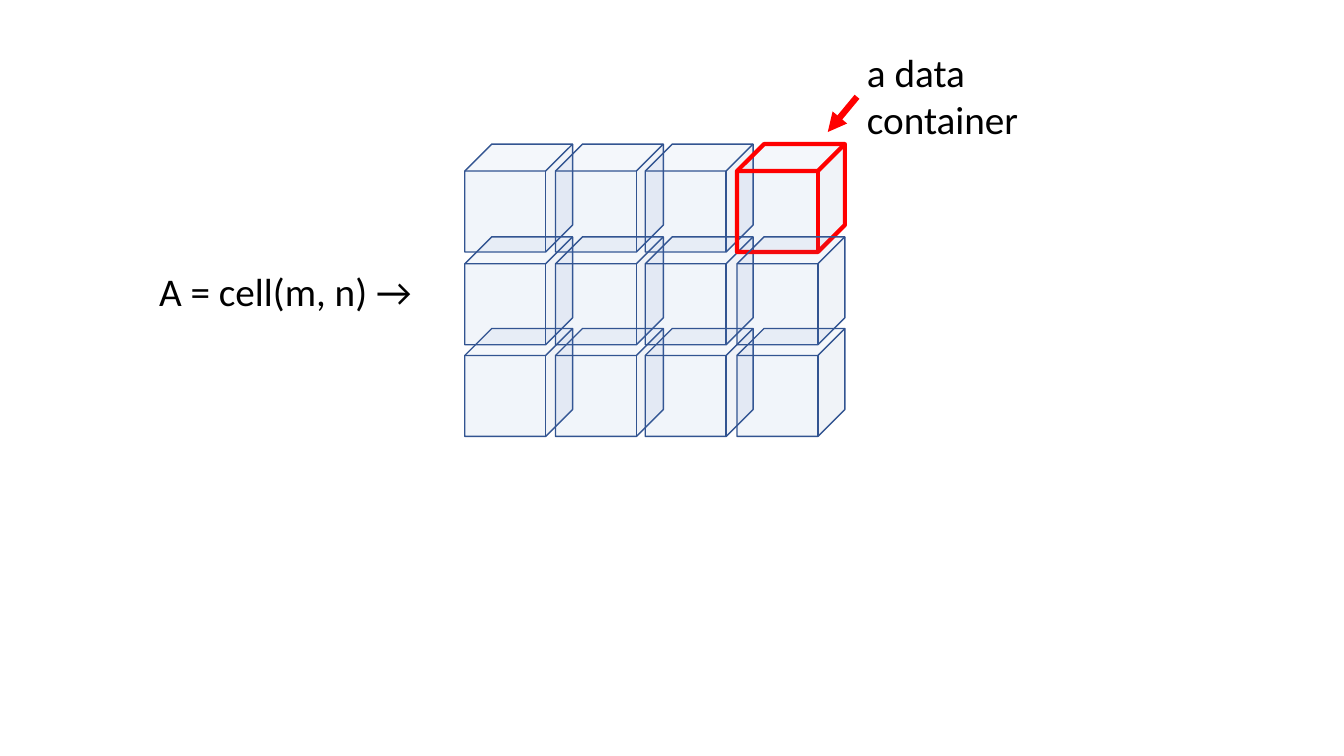
"""Builds a slide showing a cell array as a grid of data containers."""
from lxml import etree
from pptx import Presentation
from pptx.dml.color import RGBColor
from pptx.enum.shapes import MSO_CONNECTOR, MSO_SHAPE
from pptx.enum.text import MSO_AUTO_SIZE
from pptx.oxml.ns import qn
from pptx.util import Inches, Pt

CUBE = MSO_SHAPE.CUBE
LINE = MSO_CONNECTOR.STRAIGHT
GROW = MSO_AUTO_SIZE.SHAPE_TO_FIT_TEXT

COLORS = {"text": "000000", "fill": "4472C4", "edge": "325491", "mark": "FF0000"}
LABELS = [
    (["A = cell(m, n) →"], (1.48, 2.6, 2.76, 0.57)),
    (["a data", "container"], (8.5, 0.43, 1.72, 1.04)),
]
LEFTS = [4.61, 5.51, 6.4, 7.31]
TOPS = [1.43, 2.35, 3.26]
SIDE = 1.07
MARKED = (0, 3)
ARROW = (8.5, 0.96, 8.21, 1.31)


def color(name):
    return RGBColor.from_string(COLORS[name])


def add_label(slide, lines, box):
    frame = slide.shapes.add_textbox(*map(Inches, box)).text_frame
    frame.word_wrap = False
    frame.auto_size = GROW
    frame.text = "\n".join(lines)
    for para in frame.paragraphs:
        para.font.name = "Calibri"
        para.font.size = Pt(28)
        para.font.color.rgb = color("text")


def add_cube(slide, left, top, marked):
    cube = slide.shapes.add_shape(CUBE, *map(Inches, (left, top, SIDE, SIDE)))
    cube.shadow.inherit = False
    cube.fill.solid()
    cube.fill.fore_color.rgb = color("fill")
    tint = cube.fill._xPr.find(".//" + qn("a:srgbClr"))
    etree.SubElement(tint, qn("a:alpha"), val="7000")
    cube.line.color.rgb = color("mark" if marked else "edge")
    cube.line.width = Pt(3 if marked else 1)


def add_arrow(slide, ends):
    arrow = slide.shapes.add_connector(LINE, *map(Inches, ends))
    arrow.line.color.rgb = color("mark")
    arrow.line.width = Pt(4.5)
    etree.SubElement(arrow.line._get_or_add_ln(), qn("a:tailEnd"), type="triangle")
    etree.SubElement(arrow._element.spPr, qn("a:effectLst"))


def main():
    deck = Presentation()
    deck.slide_width, deck.slide_height = Inches(13.33), Inches(7.5)
    slide = deck.slides.add_slide(deck.slide_layouts[6])
    for col, left in enumerate(LEFTS):
        for row, top in enumerate(TOPS):
            add_cube(slide, left, top, (row, col) == MARKED)
    for lines, box in LABELS:
        add_label(slide, lines, box)
    add_arrow(slide, ARROW)
    deck.save("out.pptx")


if __name__ == "__main__":
    main()
